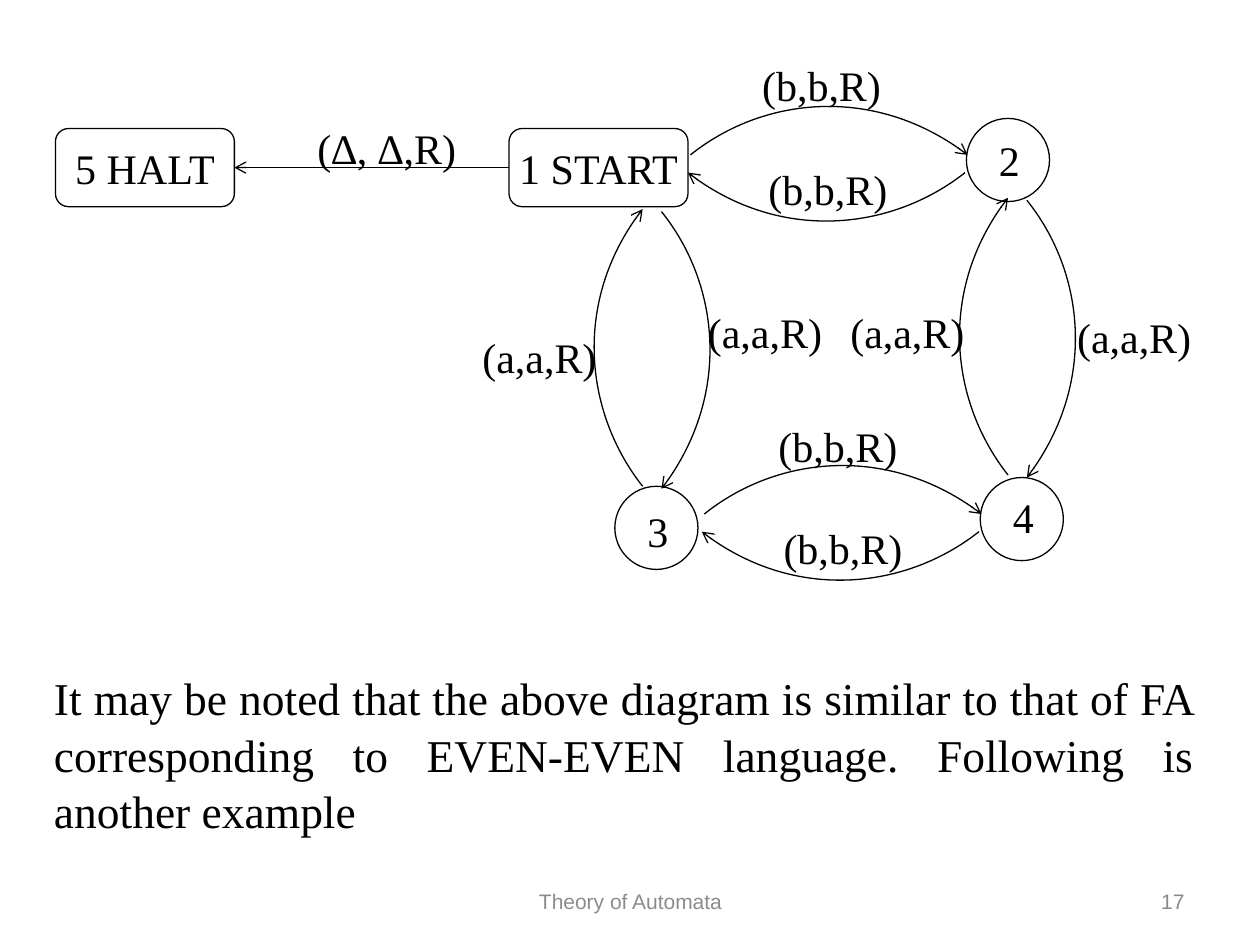
from dataclasses import dataclass

from lxml import etree
from pptx import Presentation
from pptx.dml.color import RGBColor
from pptx.enum.shapes import MSO_CONNECTOR, MSO_SHAPE
from pptx.enum.text import MSO_ANCHOR, PP_ALIGN
from pptx.oxml.ns import qn
from pptx.util import Inches, Pt

STRAIGHT = MSO_CONNECTOR.STRAIGHT
CIRCLE, ROUNDED = MSO_SHAPE.OVAL, MSO_SHAPE.ROUNDED_RECTANGLE
TOP, MIDDLE = MSO_ANCHOR.TOP, MSO_ANCHOR.MIDDLE
LEFT, CENTER, RIGHT, JUSTIFY = (
    PP_ALIGN.LEFT, PP_ALIGN.CENTER, PP_ALIGN.RIGHT, PP_ALIGN.JUSTIFY)
LEFT_SIDE, RIGHT_SIDE = 1, 3


@dataclass(frozen=True)
class Theme:
    ink: RGBColor = RGBColor(0, 0, 0)
    paper: RGBColor = RGBColor(255, 255, 255)
    number: RGBColor = RGBColor(0x89, 0x89, 0x89)
    footer: RGBColor = RGBColor(0x8C, 0x8C, 0x8C)
    serif: str = "Times New Roman"
    sans: str = "Arial"
    label_size: int = 24
    note_size: int = 26
    footer_size: int = 12
    line_width: float = 0.75


THEME = Theme()
STATE_SIZE = 0.66
BOX_WIDTH, BOX_HEIGHT = 1.42, 0.62

# Both transition curves fill a 2.2 x 0.56 frame
LOWER_ARC = [(2.2, 0), (1.63, 0.45), (0.72, 0.56), (0, 0)]
UPPER_ARC = [(0, 0.56), (0.56, 0.11), (1.47, 0), (2.2, 0.56)]


def write(frame, text, size=THEME.label_size, font=THEME.serif,
          color=THEME.ink, align=LEFT, anchor=TOP, wrap=True):
    frame.text = text
    frame.word_wrap = wrap
    frame.vertical_anchor = anchor
    paragraph = frame.paragraphs[0]
    paragraph.alignment = align
    style = paragraph.runs[0].font
    style.size, style.name = Pt(size), font
    style.color.rgb = color
    return paragraph


def add_text(slide, left, top, width, height, text, **style):
    box = slide.shapes.add_textbox(
        Inches(left), Inches(top), Inches(width), Inches(height))
    return write(box.text_frame, text, **style)


def outline(shape):
    shape.line.color.rgb = THEME.ink
    shape.line.width = Pt(THEME.line_width)


def add_arrowhead(shape):
    line = shape.line._get_or_add_ln()
    etree.SubElement(line, qn("a:tailEnd"), type="arrow")


def add_state(slide, left, top):
    state = slide.shapes.add_shape(
        CIRCLE, Inches(left), Inches(top), Inches(STATE_SIZE), Inches(STATE_SIZE))
    state.shadow.inherit = False
    state.fill.solid()
    state.fill.fore_color.rgb = THEME.paper
    outline(state)


def add_box(slide, left, top, text):
    box = slide.shapes.add_shape(
        ROUNDED, Inches(left), Inches(top), Inches(BOX_WIDTH), Inches(BOX_HEIGHT))
    box.shadow.inherit = False
    box.fill.background()
    outline(box)
    write(box.text_frame, text, align=CENTER, anchor=MIDDLE, wrap=False)
    return box


def add_arc(slide, left, top, points, rotation):
    start, *rest = [(Inches(x), Inches(y)) for x, y in points]
    builder = slide.shapes.build_freeform(*start)
    builder.add_line_segments(rest, close=False)
    arc = builder.convert_to_shape(Inches(left), Inches(top))
    # Turn the three segment points into one Bezier curve
    segments = list(arc._element.iter(qn("a:lnTo")))
    curve = etree.SubElement(segments[0].getparent(), qn("a:cubicBezTo"))
    for segment in segments:
        curve.append(segment[0])
        segment.getparent().remove(segment)
    arc.rotation = rotation
    arc.shadow.inherit = False
    arc.fill.background()
    outline(arc)
    add_arrowhead(arc)


def add_halt_arrow(slide, start, halt):
    arrow = slide.shapes.add_connector(STRAIGHT, 0, 0, 0, 0)
    arrow.begin_connect(start, LEFT_SIDE)
    arrow.end_connect(halt, RIGHT_SIDE)
    outline(arrow)
    add_arrowhead(arrow)
    etree.SubElement(arrow._element.spPr, qn("a:effectLst"))


def main():
    prs = Presentation()
    prs.slide_width, prs.slide_height = Inches(10), Inches(7.5)
    slide = prs.slides.add_slide(prs.slide_layouts[6])

    # States and the pairs of transitions between them
    for left, top in [(7.67, 0.94), (4.88, 3.86), (7.78, 3.79)]:
        add_state(slide, left, top)
    for left, top, points, rotation in [
        (5.46, 1.37, LOWER_ARC, 0), (5.48, 0.67, UPPER_ARC, 0),
        (3.72, 2.48, LOWER_ARC, 90), (4.43, 2.5, UPPER_ARC, 90),
        (5.57, 4.22, LOWER_ARC, 0), (5.59, 3.52, UPPER_ARC, 0),
        (6.62, 2.39, LOWER_ARC, 90), (7.33, 2.41, UPPER_ARC, 90),
    ]:
        add_arc(slide, left, top, points, rotation)

    # Start and halt
    start = add_box(slide, 4.04, 1.02, "1 START")
    halt = add_box(slide, 0.44, 1.02, "5 HALT")

    # Transition labels
    for left, top, width, text in [
        (3.73, 2.58, 1.71, "(a,a,R)"), (2.42, 0.92, 1.71, "(∆, ∆,R)"),
        (5.95, 0.42, 1.71, "(b,b,R)"), (6, 1.25, 1.71, "(b,b,R)"),
        (6.08, 3.29, 1.71, "(b,b,R)"), (6.12, 4.1, 1.71, "(b,b,R)"),
        (8.45, 2.42, 1.21, "(a,a,R)"), (6.65, 2.38, 1.21, "(a,a,R)"),
        (5.52, 2.38, 1.21, "(a,a,R)"),
    ]:
        add_text(slide, left, top, width, 0.46, text)
    add_halt_arrow(slide, start, halt)

    # State numbers
    for left, top, text in [(7.94, 3.85, "4"), (7.83, 1.02, "2"), (5.04, 3.96, "3")]:
        add_text(slide, left, top, 0.5, 0.5, text)

    # Closing note
    note = add_text(
        slide, 0.33, 5.25, 9.25, 1.4,
        "It may be noted that the above diagram is similar to that of FA "
        "corresponding to EVEN-EVEN language. Following is another example",
        size=THEME.note_size, align=JUSTIFY)
    note.line_spacing = 1.04

    # Slide number and footer
    small = {"size": THEME.footer_size, "font": THEME.sans, "anchor": MIDDLE}
    add_text(slide, 7.17, 6.95, 2.33, 0.4, "17",
             color=THEME.number, align=RIGHT, **small)
    add_text(slide, 3.42, 6.95, 3.17, 0.4, "Theory of Automata",
             color=THEME.footer, align=CENTER, **small)

    prs.save("out.pptx")


if __name__ == "__main__":
    main()
